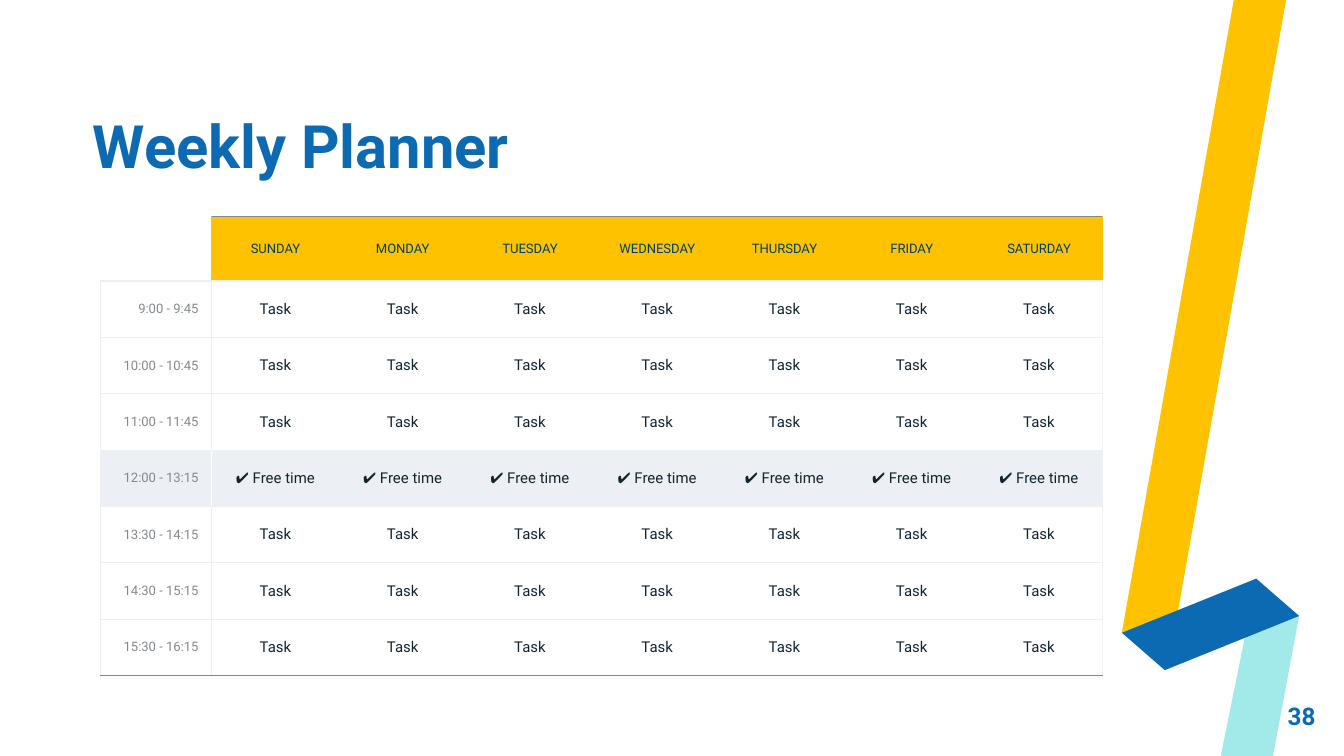
from dataclasses import dataclass

from lxml.etree import SubElement
from pptx import Presentation
from pptx.dml.color import RGBColor
from pptx.enum.text import MSO_ANCHOR, MSO_AUTO_SIZE, PP_ALIGN
from pptx.oxml.ns import qn
from pptx.util import Pt


@dataclass(frozen=True)
class Theme:
    font: str = "Roboto"
    blue: str = "0B6AB1"
    yellow: str = "FEC200"
    aqua: str = "A2EAE9"
    navy: str = "023E69"
    ink: str = "122431"
    gray: str = "84898D"
    pale: str = "ECEFF3"
    white: str = "FFFFFF"
    title_size: float = 32
    number_size: float = 13
    task_size: float = 8
    label_size: float = 7
    border_width: float = 0.75


DAYS = ["SUNDAY", "MONDAY", "TUESDAY", "WEDNESDAY", "THURSDAY", "FRIDAY", "SATURDAY"]
TASK, FREE_TIME = "Task", "✔ Free time"
SCHEDULE = [
    ("9:00 - 9:45", TASK),
    ("10:00 - 10:45", TASK),
    ("11:00 - 11:45", TASK),
    ("12:00 - 13:15", FREE_TIME),
    ("13:30 - 14:15", TASK),
    ("14:30 - 15:15", TASK),
    ("15:30 - 16:15", TASK),
]
NO_STYLE_NO_GRID = "{2D5ABB26-0587-4C30-8999-92F81FD0307C}"


class PlannerSlide:
    def __init__(self, presentation, theme):
        self.theme = theme
        self.slide = presentation.slides.add_slide(presentation.slide_layouts[5])

    def set_text(self, text_frame, text, size, color, align, bold=False):
        text_frame.text = text
        paragraph = text_frame.paragraphs[0]
        paragraph.alignment = align
        for run in paragraph.runs:
            run.font.name = self.theme.font
            run.font.size = Pt(size)
            run.font.bold = bold
            run.font.color.rgb = RGBColor.from_string(color)
        return paragraph

    def place(self, shape, left, top, width, height, anchor):
        shape.left, shape.top = Pt(left), Pt(top)
        shape.width, shape.height = Pt(width), Pt(height)
        frame = shape.text_frame
        frame.margin_left = frame.margin_right = 0
        frame.margin_top = frame.margin_bottom = 0
        frame.word_wrap = True
        frame.auto_size = MSO_AUTO_SIZE.NONE
        frame.vertical_anchor = anchor
        return frame

    def title(self, text, left, top, width, height):
        shape = self.slide.shapes.title
        frame = self.place(shape, left, top, width, height, MSO_ANCHOR.BOTTOM)
        paragraph = self.set_text(frame, text, self.theme.title_size, self.theme.blue, PP_ALIGN.LEFT, True)
        paragraph.line_spacing = 0.8

    def page_number(self, text, left, top, width, height):
        shape = self.slide.shapes.add_textbox(0, 0, 0, 0)
        frame = self.place(shape, left, top, width, height, MSO_ANCHOR.MIDDLE)
        self.set_text(frame, text, self.theme.number_size, self.theme.blue, PP_ALIGN.RIGHT, True)

    def ribbon(self, color, points):
        builder = self.slide.shapes.build_freeform(*points[0], scale=Pt(1))
        builder.add_line_segments(points[1:], close=True)
        shape = builder.convert_to_shape()
        shape.shadow.inherit = False
        shape.fill.solid()
        shape.fill.fore_color.rgb = RGBColor.from_string(color)
        shape.line.fill.background()

    def cell(self, cell, text, size, color, align, fill):
        cell.vertical_anchor = MSO_ANCHOR.MIDDLE
        if text:
            cell.margin_left = cell.margin_right = Pt(7.2)
            cell.margin_top = cell.margin_bottom = Pt(7.2)
            self.set_text(cell.text_frame, text, size, color, align)
        if fill:
            cell.fill.solid()
            cell.fill.fore_color.rgb = RGBColor.from_string(fill)
        else:
            cell.fill.background()

    def borders(self, cell, left, right, top, bottom):
        properties = cell._tc.get_or_add_tcPr()
        sides = {"a:lnL": left, "a:lnR": right, "a:lnT": top, "a:lnB": bottom}
        for position, (tag, color) in enumerate(sides.items()):
            line = SubElement(properties, qn(tag), w=str(Pt(self.theme.border_width)))
            if color:
                solid = SubElement(line, qn("a:solidFill"))
                SubElement(solid, qn("a:srgbClr"), val=color)
            else:
                SubElement(line, qn("a:noFill"))
            properties.insert(position, line)

    def planner(self, left, top, time_width, day_width, header_height, row_height):
        theme = self.theme
        rows = [("", *DAYS)] + [(time, *[entry] * len(DAYS)) for time, entry in SCHEDULE]
        last_row, last_column = len(rows) - 1, len(DAYS)
        width = time_width + day_width * last_column
        height = header_height + row_height * last_row
        frame = self.slide.shapes.add_table(
            len(rows), last_column + 1, Pt(left), Pt(top), Pt(width), Pt(height)
        )
        table = frame.table
        table.first_row = table.horz_banding = False
        table._tbl.tblPr.find(qn("a:tableStyleId")).text = NO_STYLE_NO_GRID
        for index, column in enumerate(table.columns):
            column.width = Pt(day_width if index else time_width)
        for index, row in enumerate(table.rows):
            row.height = Pt(row_height if index else header_height)

        for row, texts in enumerate(rows):
            is_header, is_free = row == 0, texts[-1] == FREE_TIME
            edge = theme.yellow if is_header else theme.pale
            divider = theme.white if is_free else edge
            for column, text in enumerate(texts):
                is_time = column == 0
                is_corner = is_header and is_time
                if is_header:
                    size, color = theme.label_size, theme.navy
                elif is_time:
                    size, color = theme.label_size, theme.gray
                else:
                    size, color = theme.task_size, theme.ink
                fill = theme.pale if is_free else None
                if is_header and not is_time:
                    fill = theme.yellow
                align = PP_ALIGN.RIGHT if is_time else PP_ALIGN.CENTER
                cell = table.cell(row, column)
                self.cell(cell, text, size, color, align, fill)
                outer_left = None if is_corner else edge
                outer_top = None if is_corner else theme.gray
                self.borders(
                    cell,
                    left={0: outer_left, 1: divider}.get(column),
                    right={0: divider, last_column: edge}.get(column),
                    top=outer_top if is_header else theme.pale,
                    bottom=theme.gray if row == last_row else theme.pale,
                )


def main():
    presentation = Presentation()
    presentation.slide_width, presentation.slide_height = Pt(720), Pt(405)
    theme = Theme()
    slide = PlannerSlide(presentation, theme)
    fold_left, fold_right = (601.2, 339.1), (696.2, 330.5)
    slide.ribbon(theme.yellow, [(661, 0), (689, 0), (630.7, 328.3), fold_left])
    slide.ribbon(theme.aqua, [(654.5, 405), (666.7, 341.3), fold_right, (681.8, 405)])
    slide.ribbon(theme.blue, [fold_left, (673.2, 310.3), fold_right, (624.2, 359.3)])
    slide.title("Weekly Planner", 49.7, 65.5, 415.4, 31)
    slide.page_number("38", 661.7, 368, 43, 31)
    slide.planner(53.8, 116, time_width=59.7, day_width=68.2, header_height=34.6, row_height=30.2)
    presentation.save("out.pptx")


if __name__ == "__main__":
    main()
